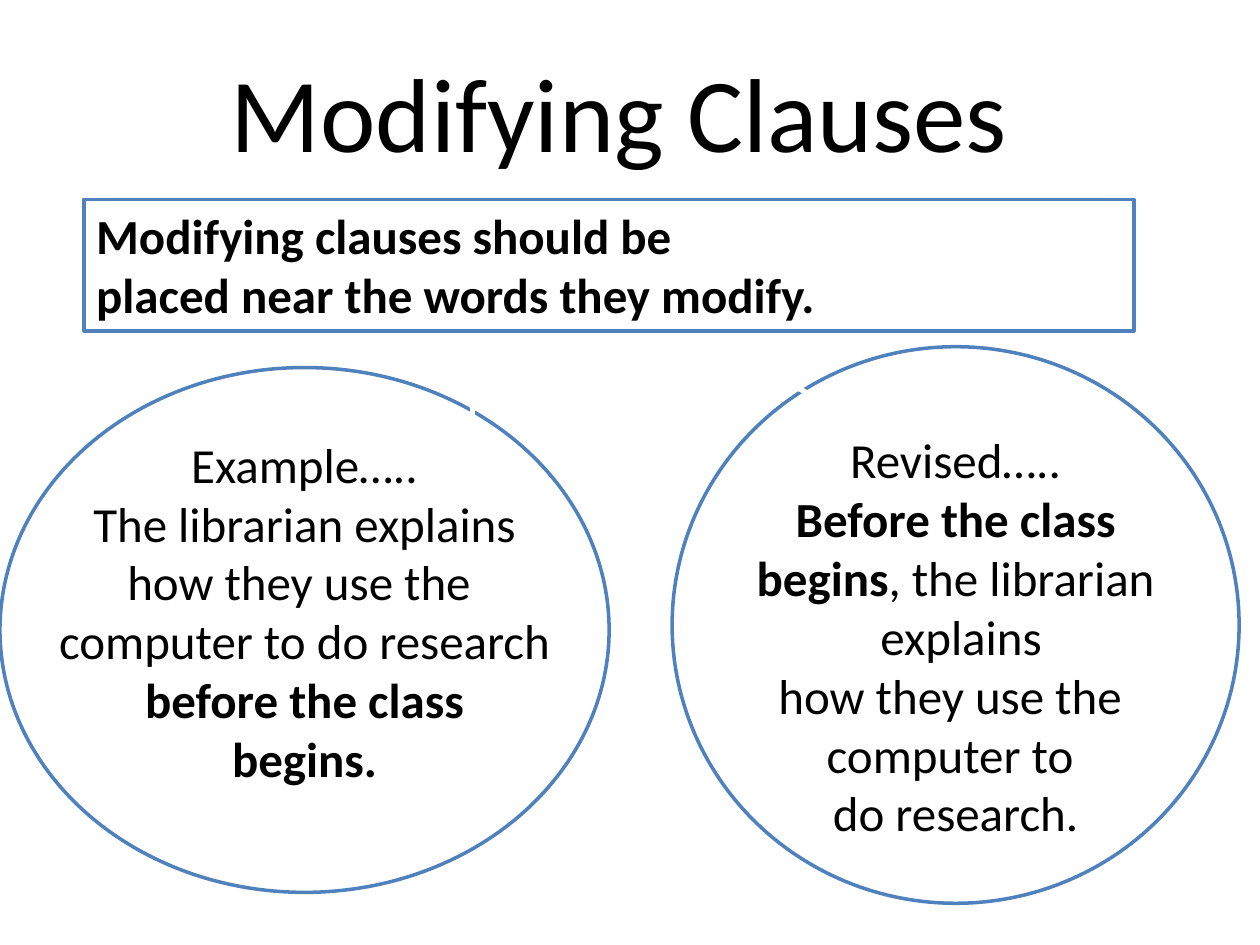
import pptx
import pptx.dml.color
import pptx.enum.shapes
import pptx.enum.text
import pptx.oxml
import pptx.oxml.ns
import pptx.util
from pptx.util import Cm

BLACK = pptx.dml.color.RGBColor(0x00, 0x00, 0x00)
WHITE = pptx.dml.color.RGBColor(0xFF, 0xFF, 0xFF)
BLUE = pptx.dml.color.RGBColor(0x4F, 0x81, 0xBD)

SHAPE = pptx.enum.shapes.MSO_SHAPE
ANCHOR = pptx.enum.text.MSO_ANCHOR
ALIGN = pptx.enum.text.PP_ALIGN
FIT = pptx.enum.text.MSO_AUTO_SIZE


def write(frame, lines, size, align, frame_format):
    """Fill a text frame; each line is a list of (text, bold) runs."""
    for attribute, value in frame_format.items():
        setattr(frame, attribute, value)
    for index, line in enumerate(lines):
        paragraph = frame.add_paragraph() if index else frame.paragraphs[0]
        paragraph.alignment = align
        for text, bold in line:
            run = paragraph.add_run()
            run.text = text
            font_format = {"name": "Calibri", "size": pptx.util.Pt(size), "bold": bold}
            for attribute, value in font_format.items():
                setattr(run.font, attribute, value)
            run.font.color.rgb = BLACK


def add_panel(kind, box):
    panel = slide.shapes.add_shape(kind, *map(Cm, box))
    panel.shadow.inherit = False
    panel.fill.solid()
    panel.fill.fore_color.rgb = WHITE
    panel.line.color.rgb = BLUE
    panel.line.width = pptx.util.Pt(2)
    return panel


deck = pptx.Presentation()
deck.slide_width, deck.slide_height = Cm(25.4), Cm(19.05)
slide = deck.slides.add_slide(deck.slide_layouts[6])

rule = add_panel(SHAPE.RECTANGLE, (1.69, 4.02, 21.17, 2.65))
write(
    rule.text_frame,
    [[("Modifying clauses should be", True)], [("placed near the words they modify.", True)]],
    28,
    ALIGN.LEFT,
    {"word_wrap": True, "auto_size": FIT.SHAPE_TO_FIT_TEXT, "vertical_anchor": ANCHOR.TOP},
)

example = [
    [("Example…..", False)],
    [("The librarian explains", False)],
    [("how they use the ", False)],
    [("computer to do research", False)],
    [("before the class", True)],
    [("begins.", True)],
]
revision = [
    [("Revised…..", False)],
    [("Before the class", True)],
    [("begins", True), (", the librarian", False)],
    [(" explains", False)],
    [("how they use the ", False)],
    [("computer to ", False)],
    [("do research.", False)],
]

# Each sentence sits in an ellipse with an arrow drawn over it;
# the insets move the text slightly off the ellipse's centre.
sentences = [
    (example, (0, 7.41, 12.28, 10.58), {"margin_bottom": Cm(0.9)}, (9.53, 7.2, 9.53, 8.89)),
    (revision, (13.55, 6.99, 11.43, 11.22), {"margin_top": Cm(0.56)}, (14.61, 6.99, 17.99, 8.89)),
]
for lines, box, inset, arrow_ends in sentences:
    ellipse = add_panel(SHAPE.OVAL, box)
    ellipse_format = {"word_wrap": False, "vertical_anchor": ANCHOR.MIDDLE, **inset}
    write(ellipse.text_frame, lines, 28, ALIGN.CENTER, ellipse_format)

    arrow = slide.shapes.add_connector(
        pptx.enum.shapes.MSO_CONNECTOR.STRAIGHT, *map(Cm, arrow_ends)
    )
    arrow.line.color.rgb = WHITE
    arrow.line.width = pptx.util.Pt(3)
    arrowhead = pptx.oxml.parse_xml(
        f'<a:tailEnd {pptx.oxml.ns.nsdecls("a")} type="triangle"/>'
    )
    arrow.line._get_or_add_ln().append(arrowhead)
    no_effects = pptx.oxml.parse_xml(f'<a:effectLst {pptx.oxml.ns.nsdecls("a")}/>')
    arrow._element.spPr.append(no_effects)

title = slide.shapes.add_textbox(Cm(1.69), Cm(0.64), Cm(21.59), Cm(3.18))
write(
    title.text_frame,
    [[("Modifying Clauses", False)]],
    60,
    ALIGN.CENTER,
    {"word_wrap": True, "vertical_anchor": ANCHOR.MIDDLE},
)

deck.save("out.pptx")
